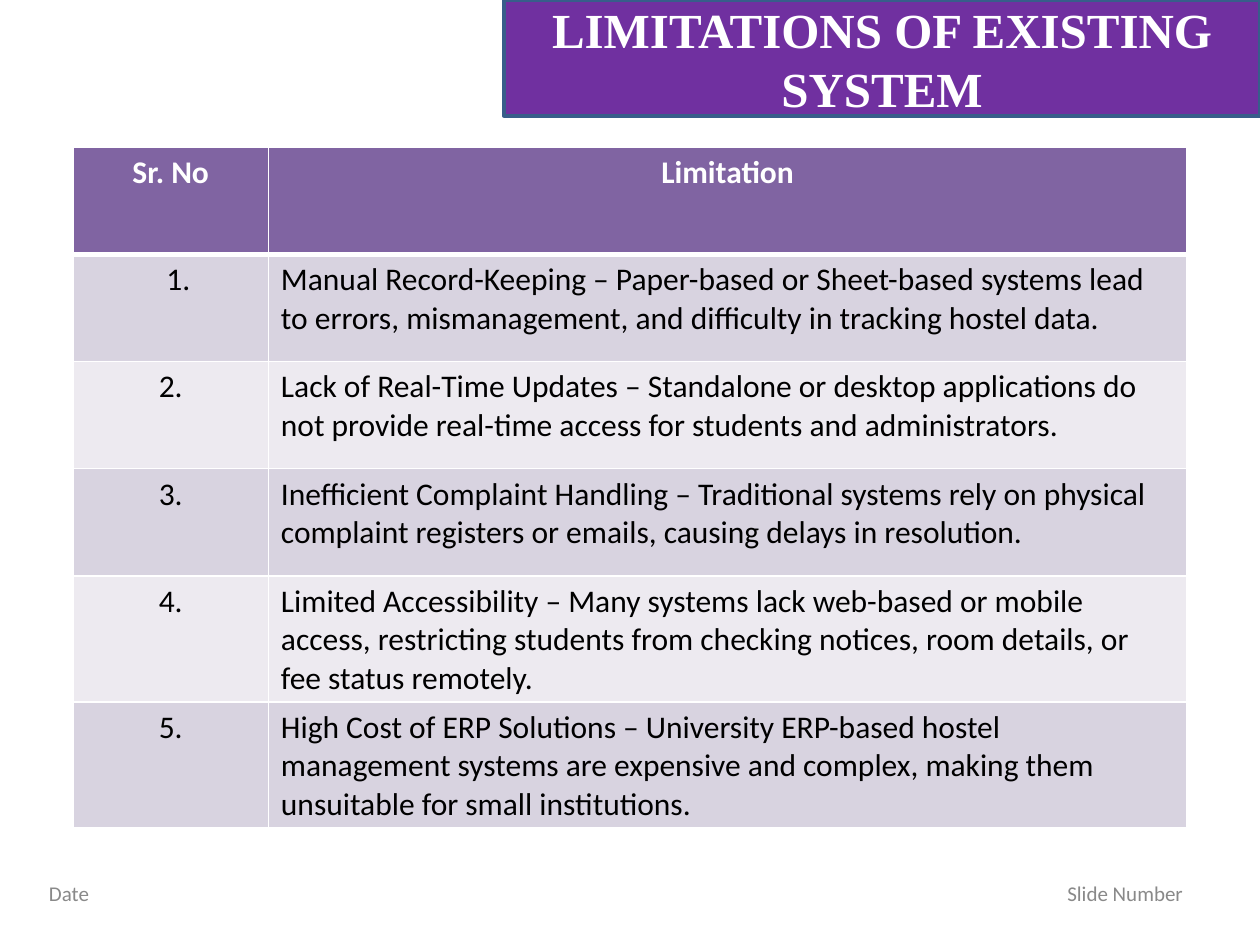
from lxml import etree
from pptx import Presentation
from pptx.dml.color import RGBColor
from pptx.enum.shapes import MSO_SHAPE
from pptx.enum.text import MSO_ANCHOR, PP_ALIGN
from pptx.oxml.ns import qn
from pptx.util import Inches, Pt

RECT = MSO_SHAPE.RECTANGLE
MIDDLE = MSO_ANCHOR.MIDDLE
LEFT, CENTER = PP_ALIGN.LEFT, PP_ALIGN.CENTER

WHITE = RGBColor(0xFF, 0xFF, 0xFF)
BLACK = RGBColor(0, 0, 0)
GRAY = RGBColor(0x89, 0x89, 0x89)
PURPLE = RGBColor(0x70, 0x30, 0xA0)
BLUE = RGBColor(0x38, 0x5D, 0x8A)
HEAD = RGBColor(0x80, 0x64, 0xA2)
BANDS = [RGBColor(0xED, 0xEA, 0xF0), RGBColor(0xD8, 0xD3, 0xE0)]

LIMITS = [
    "Manual Record-Keeping – Paper-based or Sheet-based systems lead to errors, "
    "mismanagement, and difficulty in tracking hostel data.",
    "Lack of Real-Time Updates – Standalone or desktop applications do not "
    "provide real-time access for students and administrators.",
    "Inefficient Complaint Handling – Traditional systems rely on physical "
    "complaint registers or emails, causing delays in resolution.",
    "Limited Accessibility – Many systems lack web-based or mobile access, "
    "restricting students from checking notices, room details, or fee status "
    "remotely.",
    "High Cost of ERP Solutions – University ERP-based hostel management systems "
    "are expensive and complex, making them unsuitable for small institutions.",
]


def style(par, name, size, color, bold=False, align=LEFT):
    par.alignment = align
    font = par.font
    font.name, font.size, font.bold = name, Pt(size), bold
    font.color.rgb = color


def add_edge(cell, side, width):
    """Draw a white border on one side (L, R, T or B), width in points."""
    props = cell._tc.get_or_add_tcPr()
    line = etree.SubElement(props, qn(f"a:ln{side}"), w=str(Pt(width)))
    fill = etree.SubElement(line, qn("a:solidFill"))
    etree.SubElement(fill, qn("a:srgbClr"), val=str(WHITE))


deck = Presentation()
deck.slide_width, deck.slide_height = Inches(10), Inches(7.5)
slide = deck.slides.add_slide(deck.slide_layouts[6])

# Title banner
title = slide.shapes.add_shape(RECT, Inches(4), 0, Inches(6), Inches(0.92))
title.shadow.inherit = False
title.fill.solid()
title.fill.fore_color.rgb = PURPLE
title.line.color.rgb = BLUE
title.line.width = Pt(2)
frame = title.text_frame
frame.word_wrap = True
frame.vertical_anchor = MIDDLE
frame.text = "LIMITATIONS OF EXISTING SYSTEM"
style(frame.paragraphs[0], "Times New Roman", 28, WHITE, True, CENTER)

# Footer, with a right tab stop for the slide number
footer = slide.shapes.add_textbox(Inches(0.29), Inches(6.83), Inches(9.42), Inches(0.51))
frame = footer.text_frame
frame.word_wrap = True
frame.vertical_anchor = MIDDLE
frame.text = "Date\tSlide Number"
par = frame.paragraphs[0]
style(par, "Calibri", 12, GRAY)
tabs = etree.Element(qn("a:tabLst"))
etree.SubElement(tabs, qn("a:tab"), pos=str(Inches(9)), algn="r")
par._p.get_or_add_pPr().insert(0, tabs)

# Table of limitations
rows = [("Sr. No", "Limitation")]
rows += [(f"{num}.", text) for num, text in enumerate(LIMITS, 1)]
heights = [0.85] * 4 + [1] * 2
table = slide.shapes.add_table(
    len(rows), 2, Inches(0.58), Inches(1.17), Inches(8.84), Inches(sum(heights))
).table
for col, width in zip(table.columns, [1.55, 7.29]):
    col.width = Inches(width)

for r, (row, height) in enumerate(zip(rows, heights)):
    table.rows[r].height = Inches(height)
    top = r == 0
    for c, text in enumerate(row):
        cell = table.cell(r, c)
        for side in "LRTB":
            thick = (r, side) in [(0, "B"), (1, "T")]
            add_edge(cell, side, 3 if thick else 1)
        cell.fill.solid()
        cell.fill.fore_color.rgb = HEAD if top else BANDS[r % 2]
        cell.text = text
        style(cell.text_frame.paragraphs[0], "Calibri", 18,
              WHITE if top else BLACK, top, CENTER if top or c == 0 else LEFT)
table.cell(1, 0).margin_left = Inches(0.22)

deck.save("out.pptx")
